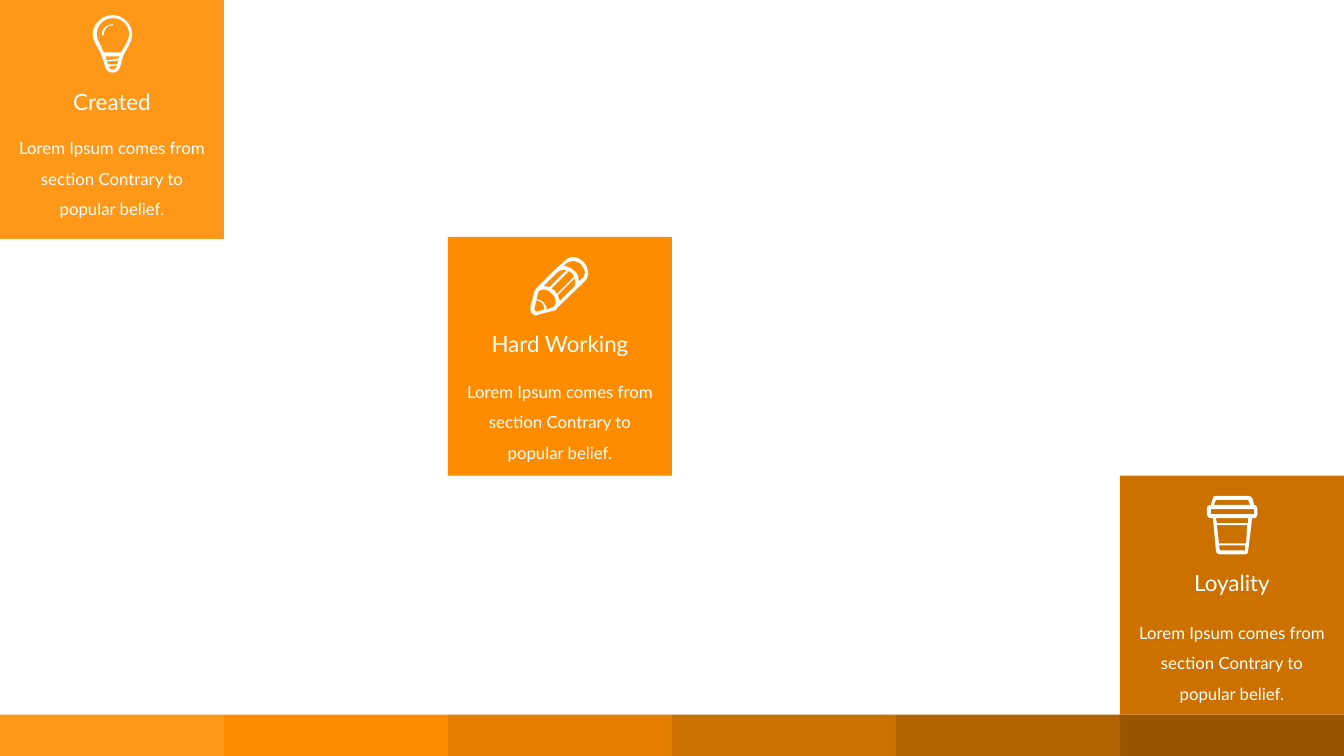
from pptx import Presentation
from pptx.dml.color import RGBColor
from pptx.enum.shapes import MSO_SHAPE
from pptx.enum.text import MSO_AUTO_SIZE, PP_ALIGN
from pptx.util import Inches, Pt

WHITE = RGBColor(0xFF, 0xFF, 0xFF)
SHADES = [RGBColor.from_string(code) for code in
          ("FF9719", "FF8C00", "E57E00", "CC7000", "B26200", "995400")]
FONT = "Lato"
BODY = "Lorem Ipsum comes from section Contrary to popular belief."

# Outlines in hundredths of an inch: pairs are corners, sixes are Bézier curves.
# The first outline of a part is its edge, the others are holes.
BULB = [
    [(20, 0), (9, 0, 0, 9, 0, 19), (0, 27, 7, 34, 9, 41),
     (13, 51, 12, 57, 20, 57), (27, 57, 27, 51, 30, 41),
     (33, 34, 39, 27, 39, 19), (39, 9, 30, 0, 20, 0)],
    [(24, 49), (16, 49), (15, 49, 15, 48, 14, 46), (26, 45), (25, 46),
     (25, 47, 25, 48, 24, 49)],
    [(14, 45), (13, 43, 13, 42, 13, 41), (27, 41), (26, 41, 26, 42, 26, 43)],
    [(20, 54), (18, 54, 17, 54, 16, 51), (24, 50), (23, 53, 22, 54, 20, 54)],
    [(28, 37), (11, 37), (10, 36, 9, 33, 9, 32), (6, 27, 4, 23, 4, 19),
     (4, 10, 11, 3, 20, 3), (29, 3, 36, 10, 36, 19),
     (36, 23, 34, 27, 31, 32), (30, 33, 29, 36, 28, 37)],
]
GLINT = [
    [(20, 9), (14, 9, 9, 14, 9, 19), (9, 20, 9, 20, 10, 20),
     (10, 20, 11, 20, 11, 19), (11, 14, 15, 10, 20, 10)],
]
PENCIL = [
    [(53, 5), (50, 2, 46, 0, 42, 0), (39, 0, 36, 2, 34, 4), (25, 12), (6, 31),
     (5, 32, 5, 33, 4, 34), (0, 50), (0, 51), (0, 55, 3, 58, 6, 58),
     (7, 58, 8, 57, 8, 57), (24, 53), (25, 53, 26, 52, 26, 51), (54, 24),
     (59, 19, 58, 11, 53, 5)],
    [(29, 43), (29, 42, 28, 40, 27, 38), (44, 21), (45, 24, 45, 28, 43, 30),
     (29, 44)],
    [(26, 37), (26, 36, 25, 34, 24, 33), (23, 33, 22, 32, 21, 31), (38, 14),
     (39, 14, 40, 15, 41, 16), (42, 17, 43, 18, 43, 20)],
    [(19, 30), (17, 29, 15, 29, 13, 29), (27, 15), (30, 13, 33, 12, 36, 13)],
    [(8, 54), (6, 54), (5, 54, 4, 53, 4, 51), (6, 43),
     (8, 43, 10, 44, 12, 46), (13, 48, 14, 50, 14, 52)],
    [(16, 52), (16, 49, 15, 47, 13, 45), (11, 43, 8, 42, 6, 42), (8, 35),
     (8, 34), (12, 31, 18, 32, 21, 36), (26, 40, 26, 46, 23, 50), (22, 50)],
    [(52, 21), (48, 24), (48, 20, 47, 16, 44, 14), (41, 11, 37, 9, 33, 9),
     (36, 6), (38, 5, 40, 4, 42, 4), (45, 4, 48, 5, 50, 7),
     (52, 10, 54, 12, 54, 15), (54, 17, 53, 20, 52, 21)],
]
CUP = [
    [(47, 9), (45, 2), (44, 1, 43, 0, 41, 0), (9, 0), (8, 0, 6, 1, 6, 2),
     (4, 9), (1, 9, 0, 11, 0, 13), (0, 18), (0, 20, 2, 22, 4, 22), (6, 22),
     (9, 54), (9, 56, 11, 58, 13, 58), (38, 58), (40, 58, 41, 56, 41, 54),
     (45, 22), (47, 22), (49, 22, 50, 20, 50, 18), (50, 13),
     (50, 11, 49, 9, 47, 9)],
    [(9, 4), (41, 4), (43, 9), (7, 9)],
    [(13, 54), (12, 49), (38, 49), (38, 54)],
    [(39, 47), (12, 47), (10, 29), (40, 29)],
    [(41, 27), (10, 27), (9, 22), (41, 22)],
    [(47, 18), (4, 18), (4, 13), (47, 13)],
]

# title, title width, column, top, shade, icon parts, icon left,
# then offsets from the tile top: icon, title, body
TILES = [
    ("Created", 0.99, 0, 0, 0, [BULB, GLINT], 0.92, 0.15, 0.83, 1.22),
    ("Hard Working", 1.61, 2, 2.35, 1, [PENCIL], 5.26, 0.2, 0.88, 1.29),
    ("Loyality", 0.98, 5, 4.72, 3, [CUP], 11.97, 0.2, 0.88, 1.31),
]
WIDE, HIGH = 13.33, 7.5
COL = WIDE / len(SHADES)
TILE_H = 2.37
BAR_TOP = 7.09
BODY_W = 2.2
STEPS = 8

deck = Presentation()
deck.slide_width, deck.slide_height = Inches(WIDE), Inches(HIGH)
shapes = deck.slides.add_slide(deck.slide_layouts[6]).shapes


def paint(shape, color):
    shape.shadow.inherit = False
    shape.fill.solid()
    shape.fill.fore_color.rgb = color
    shape.line.fill.background()


def add_block(col, top, high, color):
    block = shapes.add_shape(MSO_SHAPE.RECTANGLE, Inches(col * COL), Inches(top),
                             Inches(COL), Inches(high))
    paint(block, color)


def add_text(text, left, top, wide, high, size, wrap, spacing=None):
    box = shapes.add_textbox(Inches(left), Inches(top), Inches(wide), Inches(high))
    frame = box.text_frame
    frame.word_wrap = wrap
    frame.auto_size = MSO_AUTO_SIZE.SHAPE_TO_FIT_TEXT
    para = frame.paragraphs[0]
    para.text = text
    para.alignment = PP_ALIGN.CENTER
    para.line_spacing = spacing
    para.font.name, para.font.size = FONT, Pt(size)
    para.font.color.rgb = WHITE


def flatten(outline):
    """Turn corners and curves into points in thousandths of an inch."""
    points = []
    for part in outline:
        pairs = [(x * 10, y * 10) for x, y in zip(part[::2], part[1::2])]
        if len(pairs) == 1:
            points += pairs
            continue
        ends = [points[-1]] + pairs
        for step in range(1, STEPS + 1):
            t = step / STEPS
            u = 1 - t
            mix = (u ** 3, 3 * u * u * t, 3 * u * t * t, t ** 3)
            points.append(tuple(sum(m * end[axis] for m, end in zip(mix, ends))
                                for axis in (0, 1)))
    return points


def add_icon(outlines, left, top):
    edge, *holes = map(flatten, outlines)
    pen = shapes.build_freeform(*edge[0], scale=Inches(1) / 1000)
    pen.add_line_segments(edge[1:], close=True)
    for hole in holes:
        pen.move_to(*hole[0])
        pen.add_line_segments(hole[1:], close=True)
    paint(pen.convert_to_shape(Inches(left), Inches(top)), WHITE)


for col, shade in enumerate(SHADES):
    add_block(col, BAR_TOP, HIGH - BAR_TOP, shade)

for (title, wide, col, top, shade, icon, icon_x,
     icon_y, title_y, body_y) in TILES:
    add_block(col, top, TILE_H, SHADES[shade])
    mid = (col + 0.5) * COL
    for part in icon:
        add_icon(part, icon_x, top + icon_y)
    add_text(title, mid - wide / 2, top + title_y, wide, 0.37, 16, False)
    add_text(BODY, mid - BODY_W / 2, top + body_y, BODY_W, 1.01, 12, True, 1.5)

deck.save("out.pptx")
